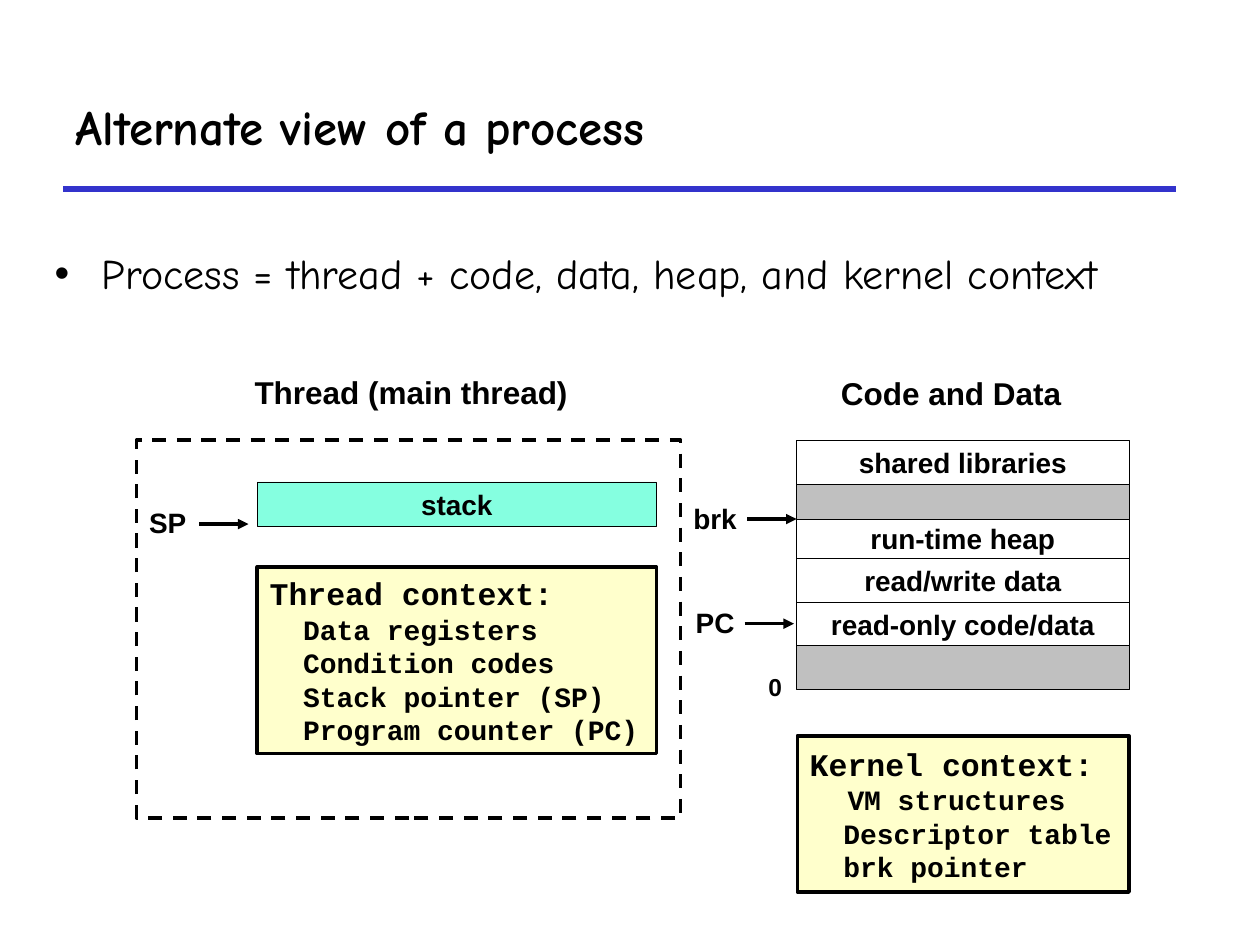
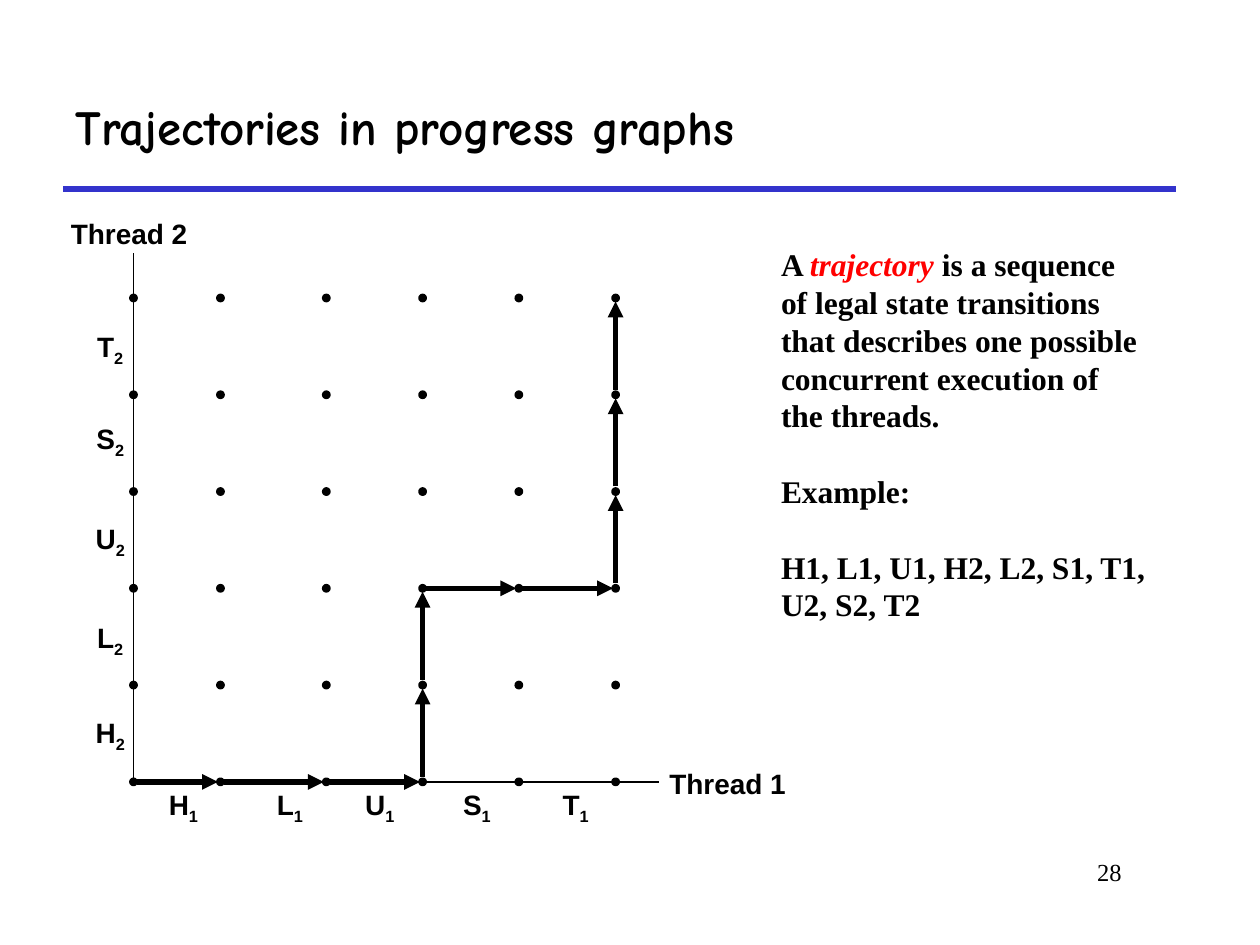
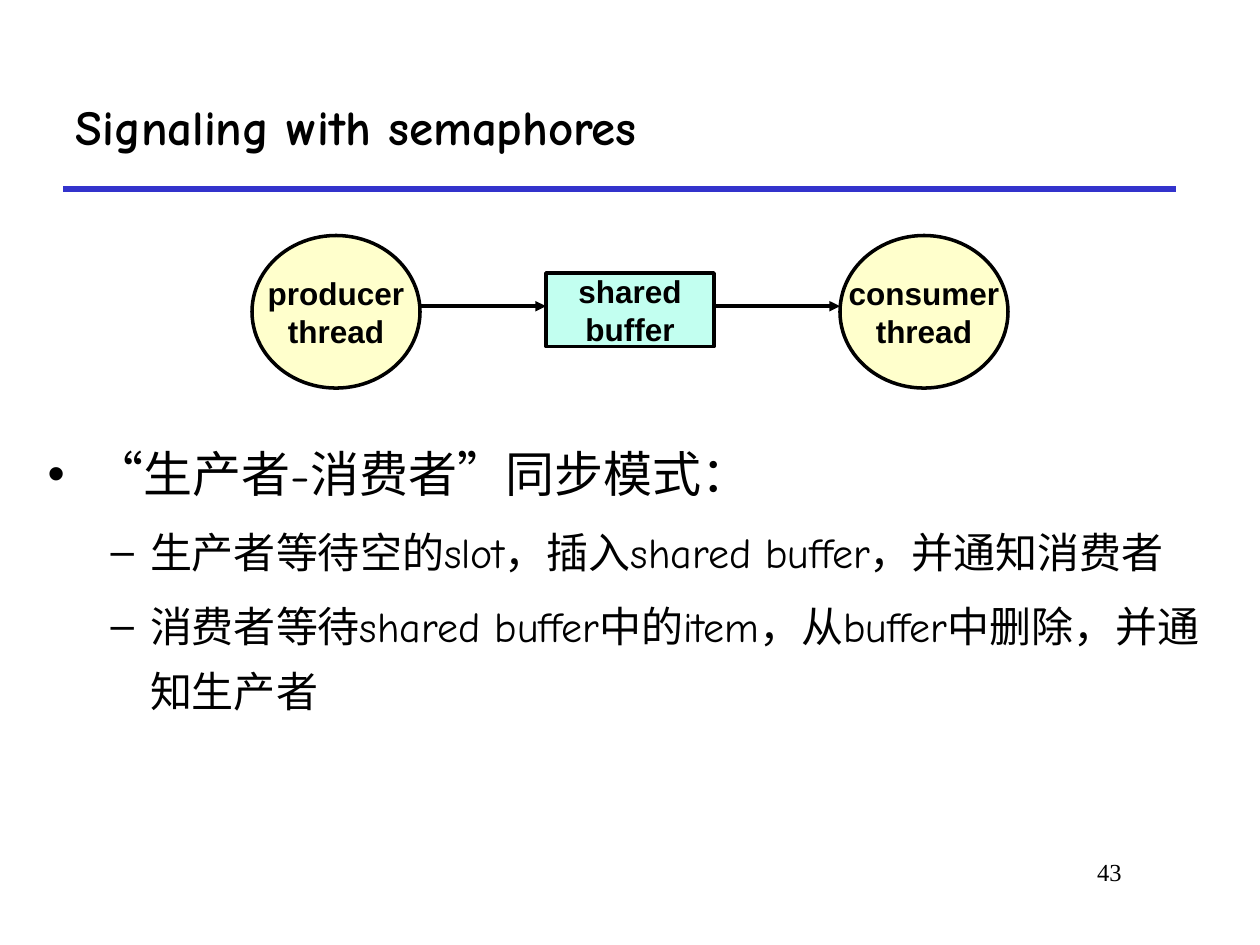
from itertools import accumulate

from lxml import etree
from pptx import Presentation
from pptx.dml.color import RGBColor
from pptx.enum import dml, shapes, text
from pptx.oxml.ns import qn
from pptx.util import Pt

BLACK = RGBColor(0x00, 0x00, 0x00)
WHITE = RGBColor(0xFF, 0xFF, 0xFF)
BLUE = RGBColor(0x33, 0x33, 0xCC)
RED = RGBColor(0xFF, 0x00, 0x00)
GREY = RGBColor(0xC0, 0xC0, 0xC0)
CREAM = RGBColor(0xFF, 0xFF, 0xCC)
MINT = RGBColor(0x85, 0xFF, 0xE0)
PALE_MINT = RGBColor(0xC2, 0xFF, 0xF0)

HAND, SANS, MONO, SERIF = "Comic Neue", "Arial", "Courier New", "Times New Roman"
LEFT, CENTER, RIGHT = text.PP_ALIGN.LEFT, text.PP_ALIGN.CENTER, text.PP_ALIGN.RIGHT
RECT, OVAL = shapes.MSO_SHAPE.RECTANGLE, shapes.MSO_SHAPE.OVAL

PROCESS = {
    "title": "Alternate view of a process",
    "body": [("Process = thread + code, data, heap, and kernel context", 0, 24)],
    "body_box": (24, 138, 672, 72),
    "memory": [
        ("shared libraries", 25.2, WHITE),
        ("", 20, GREY),
        ("run-time heap", 22.6, WHITE),
        ("read/write data", 25.2, WHITE),
        ("read-only code/data", 24.4, WHITE),
        ("", 25.2, GREY),
    ],
    "contexts": [
        ((147, 324, 228.2, 106.6), "Thread context:", [
            ("Data registers", 19.2),
            ("Condition codes", 19.2),
            ("Stack pointer (SP)", 19.2),
            ("Program counter (PC)", 19.2),
        ]),
        ((455.6, 420.5, 189.6, 89.3), "Kernel context:", [
            ("VM structures", 21.6),
            ("Descriptor table", 19.2),
            ("brk pointer", 19.2),
        ]),
    ],
    "labels": [
        ("Thread (main thread)", 235, 224, 18),
        ("Code and Data", 543.5, 224.6, 18),
        ("SP", 95.8, 298.4, 16),
        ("PC", 408.6, 355.8, 16),
        ("brk", 408.6, 296.4, 16),
        ("0", 443, 392.4, 14),
    ],
    "pointers": [(113.8, 299.5), (425.5, 356.4), (427, 296.6)],
}

GRAPH = {
    "title": "Trajectories in progress graphs",
    "number": "28",
    "columns": [76.3, 126, 186.5, 241.5, 296.5, 351.8],
    "rows": [446.8 - 55.3 * step for step in range(6)],
    "operations": "HLUST",
    "label_x": [104.8, 165.6, 217, 272.5, 329],
    "label_y": [420, 365.4, 309.2, 251.6, 199],
    "definition": [("A ", False), ("trajectory ", True), ("is a sequence", False)],
    "definition_rest": [
        "of legal state transitions",
        "that describes one possible",
        "concurrent execution of",
        "the threads.",
    ],
    "example": ["Example:", "H1, L1, U1, H2, L2, S1, T1, U2, S2, T2"],
}

SIGNALING = {
    "title": "Signaling with semaphores",
    "number": "43",
    "body": [
        ("“生产者-消费者”同步模式：", 0, 28),
        ("生产者等待空的slot，插入shared buffer，并通知消费者", 1, 24),
        ("消费者等待shared buffer中的item，从buffer中删除，并通知生产者", 1, 24),
    ],
    "body_box": (20, 240, 686, 258),
    "stages": [
        (["producer", "thread"], OVAL, CREAM, 134.6, 87.2),
        (["shared", "buffer"], RECT, PALE_MINT, 156, 42),
        (["consumer", "thread"], OVAL, CREAM, 134.6, 87.2),
    ],
}


def place(shape, box):
    shape.left, shape.top, shape.width, shape.height = map(Pt, box)


def set_font(target, name, size, bold=False, color=BLACK):
    font = target.font
    font.name, font.size, font.bold = name, Pt(size), bold
    font.color.rgb = color


def write(frame, lines, name, size, bold=False, align=LEFT):
    for index, line in enumerate(lines):
        paragraph = frame.add_paragraph() if index else frame.paragraphs[0]
        paragraph.text = line
        paragraph.alignment = align
        set_font(paragraph, name, size, bold)
    return frame.paragraphs


def add_line(slide, start, end, width, color=BLACK, arrow=False):
    line = slide.shapes.add_connector(
        shapes.MSO_CONNECTOR.STRAIGHT, *map(Pt, (*start, *end)))
    line.line.width = Pt(width)
    line.line.color.rgb = color
    properties = line._element.spPr
    if arrow:
        etree.SubElement(properties.find(qn("a:ln")), qn("a:tailEnd"), type="triangle")
    etree.SubElement(properties, qn("a:effectLst"))


def add_block(slide, kind, box, fill, width):
    block = slide.shapes.add_shape(kind, *map(Pt, box))
    block.shadow.inherit = False
    if fill is None:
        block.fill.background()
    else:
        block.fill.solid()
        block.fill.fore_color.rgb = fill
    block.line.color.rgb = BLACK
    block.line.width = Pt(width)
    frame = block.text_frame
    frame.word_wrap = False
    frame.vertical_anchor = text.MSO_ANCHOR.MIDDLE
    frame.margin_top = frame.margin_bottom = 0
    return block


def add_text(slide, box, wrap=True, anchor=text.MSO_ANCHOR.MIDDLE):
    frame = slide.shapes.add_textbox(*map(Pt, box)).text_frame
    frame.word_wrap = wrap
    frame.vertical_anchor = anchor
    return frame


def add_label(slide, label, x, y, size=16):
    width = 28 + size * 0.6 * len(label)
    frame = add_text(slide, (x - width / 2, y - 13.4, width, 26.8), wrap=False)
    return write(frame, [label], SANS, size, True, CENTER)[0]


def new_slide(deck, content):
    has_body = "body" in content
    slide = deck.slides.add_slide(deck.slide_layouts[1 if has_body else 5])
    title = slide.shapes.title
    place(title, (36, 36, 636, 72))
    write(title.text_frame, [content["title"]], HAND, 28, True)
    add_line(slide, (36, 108), (672, 108), 3, BLUE)
    if has_body:
        body = slide.placeholders[1]
        place(body, content["body_box"])
        entries = content["body"]
        paragraphs = write(body.text_frame, [entry[0] for entry in entries], HAND, 24)
        for paragraph, (_, level, size) in zip(paragraphs, entries):
            paragraph.level = level
            paragraph.font.size = Pt(size)
    if "number" in content:
        frame = add_text(slide, (546, 486, 102, 36), anchor=text.MSO_ANCHOR.TOP)
        write(frame, [content["number"]], SERIF, 14, align=RIGHT)
    return slide


def build_process(deck):
    slide = new_slide(deck, PROCESS)
    heights = [height for _, height, _ in PROCESS["memory"]]
    tops = accumulate(heights, initial=251.4)
    for (region, height, fill), top in zip(PROCESS["memory"], tops):
        block = add_block(slide, RECT, (455, top, 190.4, height), fill, 0.25)
        if region:
            write(block.text_frame, [region], SANS, 16, True, CENTER)
    stack = add_block(slide, RECT, (147, 275.4, 228.2, 25.2), MINT, 0.25)
    write(stack.text_frame, ["stack"], SANS, 16, True, CENTER)
    for box, heading, entries in PROCESS["contexts"]:
        frame = add_block(slide, RECT, box, CREAM, 2).text_frame
        frame.word_wrap = True
        lines = [heading] + [entry for entry, _ in entries]
        paragraphs = write(frame, lines, MONO, 16, True)
        paragraphs[0].font.size = Pt(18)
        for paragraph, (_, indent) in zip(paragraphs[1:], entries):
            paragraph._p.get_or_add_pPr().set("marL", str(int(Pt(indent))))
    for label in PROCESS["labels"]:
        add_label(slide, *label)
    for x, y in PROCESS["pointers"]:
        add_line(slide, (x, y), (x + 28.2, y), 2, arrow=True)
    thread = add_block(slide, RECT, (78, 251.4, 311, 216), None, 2)
    thread.line.dash_style = dml.MSO_LINE.DASH


def add_operation(slide, letter, thread, x, y):
    paragraph = add_label(slide, letter, x, y)
    subscript = paragraph.add_run()
    subscript.text = thread
    subscript._r.get_or_add_rPr().set("baseline", "-25000")


def build_graph(deck):
    slide = new_slide(deck, GRAPH)
    columns, rows = GRAPH["columns"], GRAPH["rows"]
    origin = (76.3, 447)
    add_line(slide, origin, (376.6, 447), 1)
    add_line(slide, origin, (76.3, 144.7), 1)
    add_label(slide, "Thread 1", 415.8, 447.5)
    add_label(slide, "Thread 2", 73.8, 133.6)
    for letter, x, y in zip(GRAPH["operations"], GRAPH["label_x"], GRAPH["label_y"]):
        add_operation(slide, letter, "1", x, 461.2)
        add_operation(slide, letter, "2", 63, y)
    for x in columns:
        for y in rows:
            add_block(slide, OVAL, (x - 1.5, y - 1.5, 3, 3), BLACK, 2)

    column = row = 0
    for operation in GRAPH["example"][1].split(", "):
        x, y = columns[column], rows[row]
        if operation.endswith("1"):
            column += 1
            add_line(slide, (x + 2, y), (columns[column] - 1.5, y), 3, arrow=True)
        else:
            row += 1
            add_line(slide, (x, y - 3), (x, rows[row] + 2), 3, arrow=True)

    frame = add_text(slide, (439.2, 135.4, 250.6, 225.4))
    lines = ["", *GRAPH["definition_rest"], *GRAPH["example"]]
    paragraphs = write(frame, lines, SERIF, 18, True)
    for words, is_term in GRAPH["definition"]:
        run = paragraphs[0].add_run()
        run.text = words
        if is_term:
            run.font.italic = True
            run.font.color.rgb = RED
    for paragraph in paragraphs[-2:]:
        paragraph.space_before = Pt(21.6)


def build_signaling(deck):
    slide = new_slide(deck, SIGNALING)
    for paragraph in slide.placeholders[1].text_frame.paragraphs:
        paragraph.line_spacing = 1.3
    left, width, pitch = 144, 96, 168
    for index, (words, kind, fill, top, height) in enumerate(SIGNALING["stages"]):
        x = left + index * pitch
        stage = add_block(slide, kind, (x, top, width, height), fill, 2)
        write(stage.text_frame, words, SANS, 18, True, CENTER)
        if index:
            add_line(slide, (x - pitch + width, 175), (x, 175), 2, arrow=True)


def main():
    deck = Presentation()
    deck.slide_width, deck.slide_height = Pt(720), Pt(540)
    build_process(deck)
    build_graph(deck)
    build_signaling(deck)
    deck.save("out.pptx")


if __name__ == "__main__":
    main()
